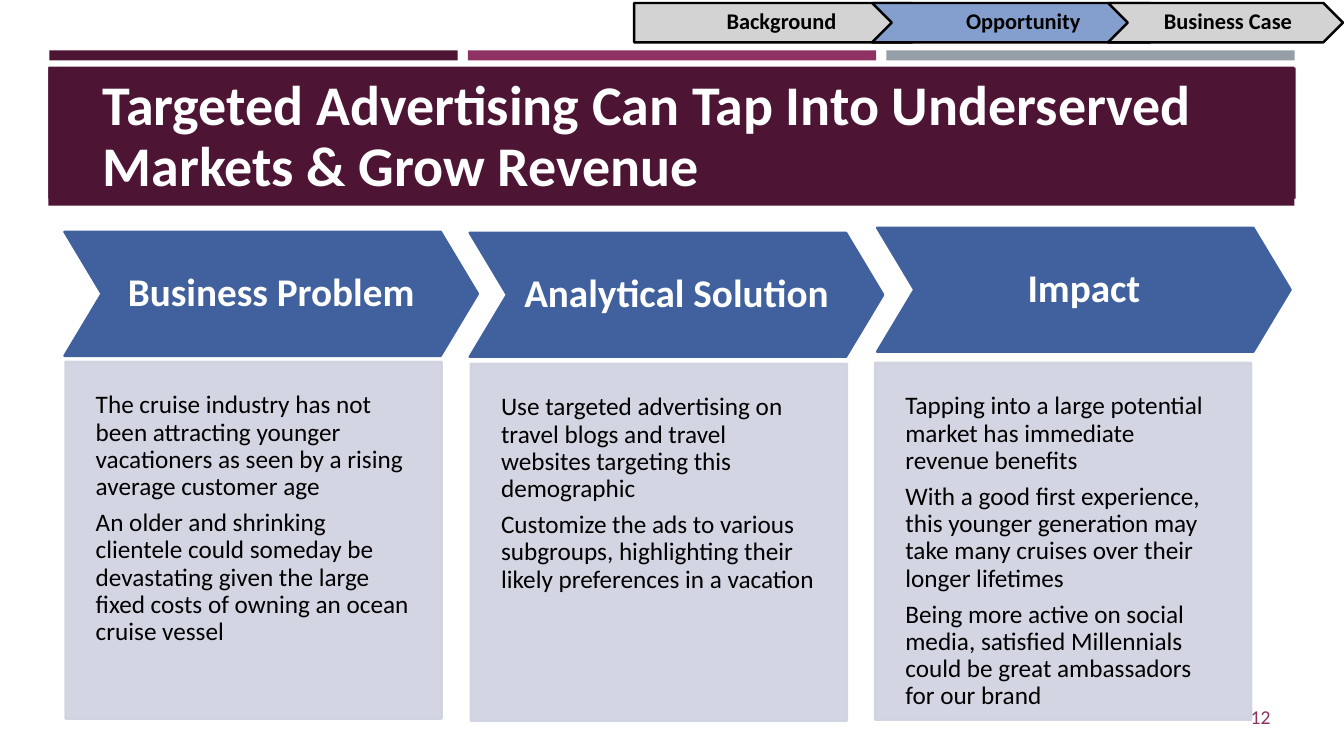
from lxml.etree import SubElement
from pptx import Presentation
from pptx.dml.color import RGBColor
from pptx.enum.shapes import MSO_SHAPE
from pptx.enum.text import MSO_ANCHOR, PP_ALIGN
from pptx.oxml.ns import qn
from pptx.util import Inches, Pt

COLORS = {
    "plum": "4D1434",
    "magenta": "903163",
    "gray": "969FA7",
    "blue": "40619D",
    "pale": "CFD2DF",
    "step": "D3D3D3",
    "current": "849ECD",
    "black": "000000",
    "white": "FFFFFF",
}


def add_block(kind, box, fill, line=None, alpha=None):
    """Add a shadowless preset shape; alpha is the opacity in percent."""
    shape = slide.shapes.add_shape(kind, *[Inches(value) for value in box])
    shape.shadow.inherit = False
    shape.fill.solid()
    shape.fill.fore_color.rgb = RGBColor.from_string(COLORS[fill])
    if line:
        shape.line.color.rgb = RGBColor.from_string(COLORS[line])
        shape.line.width = Pt(1.75)
    else:
        shape.line.fill.background()
    if alpha:
        for color in shape.fill._xPr.iter(qn("a:srgbClr")):
            SubElement(color, qn("a:alpha")).set("val", str(alpha * 1000))
    return shape


def write_text(shape, paragraphs, size, color, bold=False, align=PP_ALIGN.CENTER,
               anchor=MSO_ANCHOR.MIDDLE, insets=(0.1, 0.05, 0.1, 0.05)):
    """Fill a shape with paragraphs; insets run left, top, right, bottom."""
    frame = shape.text_frame
    frame.word_wrap = True
    frame.vertical_anchor = anchor
    (frame.margin_left, frame.margin_top,
     frame.margin_right, frame.margin_bottom) = [Inches(value) for value in insets]
    frame.text = "\n".join(paragraphs)
    for paragraph in frame.paragraphs:
        paragraph.alignment = align
        paragraph.line_spacing = 0.9
        if len(paragraphs) > 1:
            paragraph.space_after = Pt(size * 0.35)
        for run in paragraph.runs:
            run.font.name = "Calibri"
            run.font.size = Pt(size)
            run.font.bold = bold
            run.font.color.rgb = RGBColor.from_string(COLORS[color])


presentation = Presentation()
presentation.slide_width = Inches(13.33)
presentation.slide_height = Inches(7.5)
slide = presentation.slides.add_slide(presentation.slide_layouts[6])

# Title band with three accent bars
add_block(MSO_SHAPE.RECTANGLE, (0.48, 0.66, 12.36, 1.38), "plum")
for index, color in enumerate(["plum", "magenta", "gray"]):
    add_block(MSO_SHAPE.RECTANGLE, (0.49 + index * 4.15, 0.5, 4.05, 0.1), color)
add_block(MSO_SHAPE.RECTANGLE, (0.48, 0.67, 12.37, 1.3), "plum")

page_number = slide.shapes.add_textbox(Inches(11.55), Inches(6.92), Inches(1.15), Inches(0.4))
write_text(page_number, ["12"], 14, "magenta", align=PP_ALIGN.RIGHT)

# Columns: heading, chevron left and top, panel left and top, body paragraphs
columns = [
    ("Business Problem", 0.64, 2.3, 0.65, 3.59, [
        "The cruise industry has not been attracting younger vacationers as seen by a rising "
        "average customer age",
        "An older and shrinking clientele could someday be devastating given the large fixed "
        "costs of owning an ocean cruise vessel",
    ]),
    ("Analytical Solution", 4.66, 2.31, 4.67, 3.61, [
        "Use targeted advertising on travel blogs and travel websites targeting this demographic",
        "Customize the ads to various subgroups, highlighting their likely preferences in a "
        "vacation",
    ]),
    ("Impact", 8.7, 2.26, 8.68, 3.6, [
        "Tapping into a large potential market has immediate revenue benefits",
        "With a good first experience, this younger generation may take many cruises over their "
        "longer lifetimes",
        "Being more active on social media, satisfied Millennials could be great ambassadors "
        "for our brand",
    ]),
]
for heading, chevron_left, chevron_top, panel_left, panel_top, body in columns:
    chevron = add_block(MSO_SHAPE.CHEVRON, (chevron_left, chevron_top, 4.1, 1.23), "blue", "blue")
    chevron.adjustments[0] = 0.3
    write_text(chevron, [heading], 28, "white", bold=True, insets=(0.15,) * 4)
    panel = add_block(MSO_SHAPE.RECTANGLE, (panel_left, panel_top, 3.73, 3.54),
                      "pale", "pale", alpha=90)
    write_text(panel, body, 18, "black", align=PP_ALIGN.LEFT, anchor=MSO_ANCHOR.TOP,
               insets=(0.3, 0.3, 0.3, 0.59))

title = slide.shapes.add_textbox(Inches(0.92), Inches(0.89), Inches(11.5), Inches(0.96))
write_text(title, ["Targeted Advertising Can Tap Into Underserved Markets & Grow Revenue"],
           40, "white", bold=True, align=PP_ALIGN.LEFT)

# Progress tracker
steps = [
    ("Background", MSO_SHAPE.PENTAGON, 6.29, 2.95, "step", 0.09),
    ("Opportunity", MSO_SHAPE.CHEVRON, 8.65, 2.95, "current", 0.07),
    ("Business Case", MSO_SHAPE.CHEVRON, 10.99, 2.33, "step", 0.07),
]
for label, kind, left, width, fill, left_inset in steps:
    step = add_block(kind, (left, 0.03, width, 0.39), fill, "black")
    write_text(step, [label], 16, "black", bold=True, insets=(left_inset, 0.05, 0.02, 0.05))

presentation.save("out.pptx")
